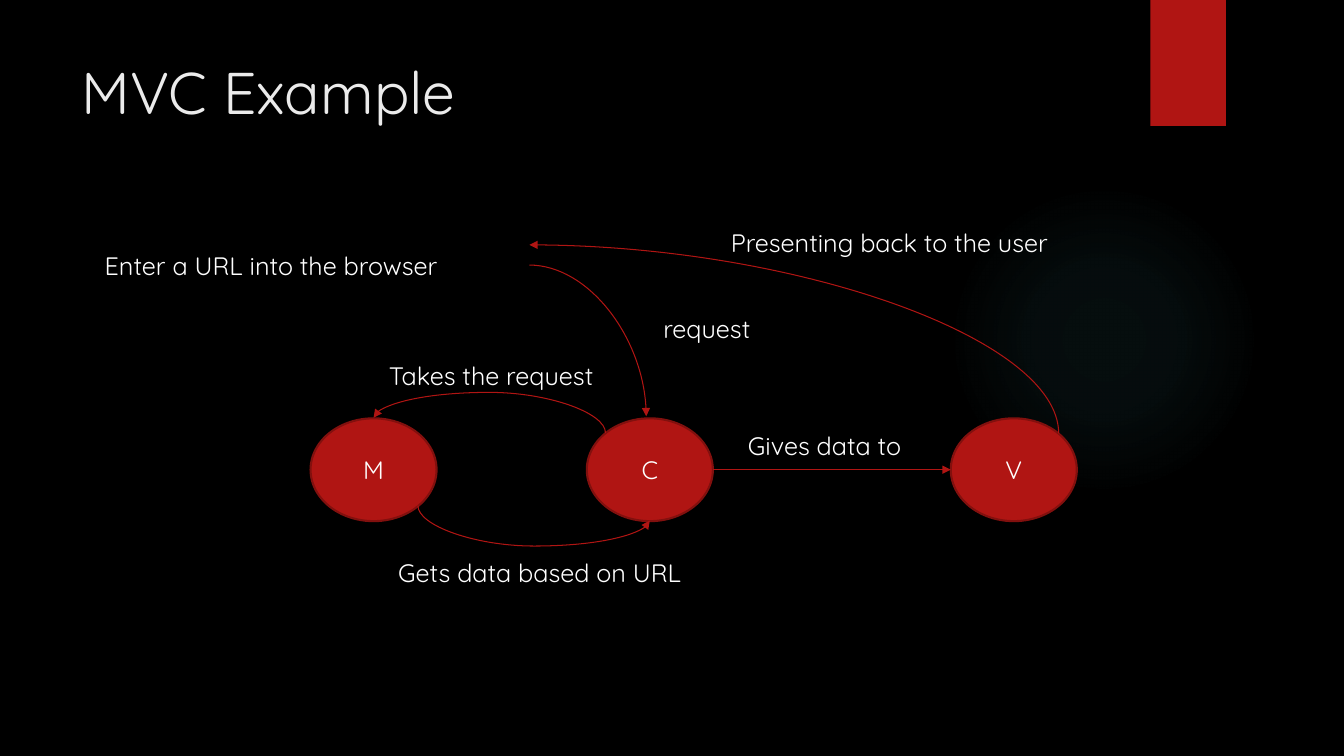
from lxml import etree
from pptx import Presentation
from pptx.dml.color import RGBColor
from pptx.enum import shapes, text
from pptx.oxml import parse_xml
from pptx.oxml.ns import nsdecls, qn
from pptx.util import Inches, Pt

RED, EDGE, WHITE, GLOW = "B01513", "82100E", "FFFFFF", "50B9C1"
KIND = shapes.MSO_SHAPE
LINK = shapes.MSO_CONNECTOR


def color(code):
    return RGBColor.from_string(code)


def inch(*sizes):
    return [Inches(size) for size in sizes]


class Board:
    font = "Quicksand"

    def __init__(self, slide):
        self.slide = slide
        self.items = slide.shapes
        fill = slide.background.fill
        fill.solid()
        fill.fore_color.rgb = color("000000")

    def letter(self, frame, words, size=18, ink=WHITE):
        """Put styled words into a text frame."""
        frame.text = words
        for run in frame.paragraphs[0].runs:
            run.font.name = self.font
            run.font.size = Pt(size)
            run.font.color.rgb = color(ink)

    def label(self, words, left, top, wide, high=0.4, wrap=False, **style):
        frame = self.items.add_textbox(*inch(left, top, wide, high)).text_frame
        frame.word_wrap = wrap
        self.letter(frame, words, **style)

    def shape(self, kind, left, top, wide, high, fill=RED):
        item = self.items.add_shape(kind, *inch(left, top, wide, high))
        item.shadow.inherit = False
        item.fill.solid()
        item.fill.fore_color.rgb = color(fill)
        item.line.fill.background()
        return item

    def glow(self, left, top, size):
        """Add a circle that fades out from its centre."""
        item = self.shape(KIND.OVAL, left, top, size, size)
        stops = "".join(
            f'<a:gs pos="{place * 1000}"><a:srgbClr val="{GLOW}">'
            f'<a:alpha val="{alpha * 1000}"/></a:srgbClr></a:gs>'
            for place, alpha in ((0, 7), (36, 6), (69, 0)))
        grad = parse_xml(
            f'<a:gradFill {nsdecls("a")}><a:gsLst>{stops}</a:gsLst>'
            '<a:path path="circle"><a:fillToRect l="50000" t="50000" '
            'r="50000" b="50000"/></a:path></a:gradFill>')
        props = item.element.spPr
        props.replace(props.find(qn("a:solidFill")), grad)

    def node(self, words, left, top=4.15):
        item = self.shape(KIND.OVAL, left, top, 1.25, 1.02)
        item.line.color.rgb = color(EDGE)
        item.line.width = Pt(1.5)
        frame = item.text_frame
        frame.vertical_anchor = text.MSO_ANCHOR.MIDDLE
        self.letter(frame, words)
        frame.paragraphs[0].alignment = text.PP_ALIGN.CENTER

    def arrow(self, kind, left, top, wide, high):
        item = self.items.add_connector(
            kind, *inch(left, top, left + wide, top + high))
        item.line.color.rgb = color(RED)
        item.line.width = Pt(0.75)
        props = item.element.spPr
        etree.SubElement(props.find(qn("a:ln")), qn("a:tailEnd"),
                         type="triangle")
        etree.SubElement(props, qn("a:effectLst"))
        return item

    def curve(self, left, top, wide, high, flip=None, bend=None):
        """Add a curved arrow; a flipped one is also turned by 270 degrees."""
        props = self.arrow(LINK.CURVE, left, top, wide, high).element.spPr
        if flip:
            frame = props.find(qn("a:xfrm"))
            frame.set("rot", str(270 * 60000))
            frame.set(flip, "1")
        geom = props.find(qn("a:prstGeom"))
        geom.set("prst", "curvedConnector3" if bend else "curvedConnector2")
        if bend:
            etree.SubElement(geom.find(qn("a:avLst")), qn("a:gd"),
                             name="adj1", fmla=f"val {round(bend * 100000)}")


def main():
    deck = Presentation()
    deck.slide_width, deck.slide_height = inch(13.33, 7.5)
    board = Board(deck.slides.add_slide(deck.slide_layouts[6]))

    board.glow(9.41, 1.83, 3.08)
    board.shape(KIND.RECTANGLE, 11.41, 0, 0.75, 1.25)
    board.label("MVC Example", 0.71, 0.5, 10.29, 1.53, wrap=True,
                size=42, ink="EBEBEB")

    for words, left in (("M", 3.08), ("C", 5.82), ("V", 9.43)):
        board.node(words, left)

    board.curve(5.25, 2.63, 1.16, 1.5)
    board.curve(4.78, 3.07, 0.15, 2.3, "flipV", 2.68)
    board.curve(5.22, 3.94, 0.15, 2.3, "flipH", 2.68)
    board.curve(6.94, 0.74, 1.87, 5.25, "flipV")
    board.arrow(LINK.STRAIGHT, 7.07, 4.66, 2.36, 0)

    for words, left, top, wide in (
            ("Enter a URL into the browser", 0.94, 2.43, 3.6),
            ("request", 6.48, 3.06, 1.12),
            ("Takes the request", 3.76, 3.53, 2.33),
            ("Gets data based on URL", 3.85, 5.48, 3.19),
            ("Gives data to", 7.32, 4.22, 1.87),
            ("Presenting back to the user", 7.15, 2.21, 3.53)):
        board.label(words, left, top, wide)

    deck.save("out.pptx")


if __name__ == "__main__":
    main()
